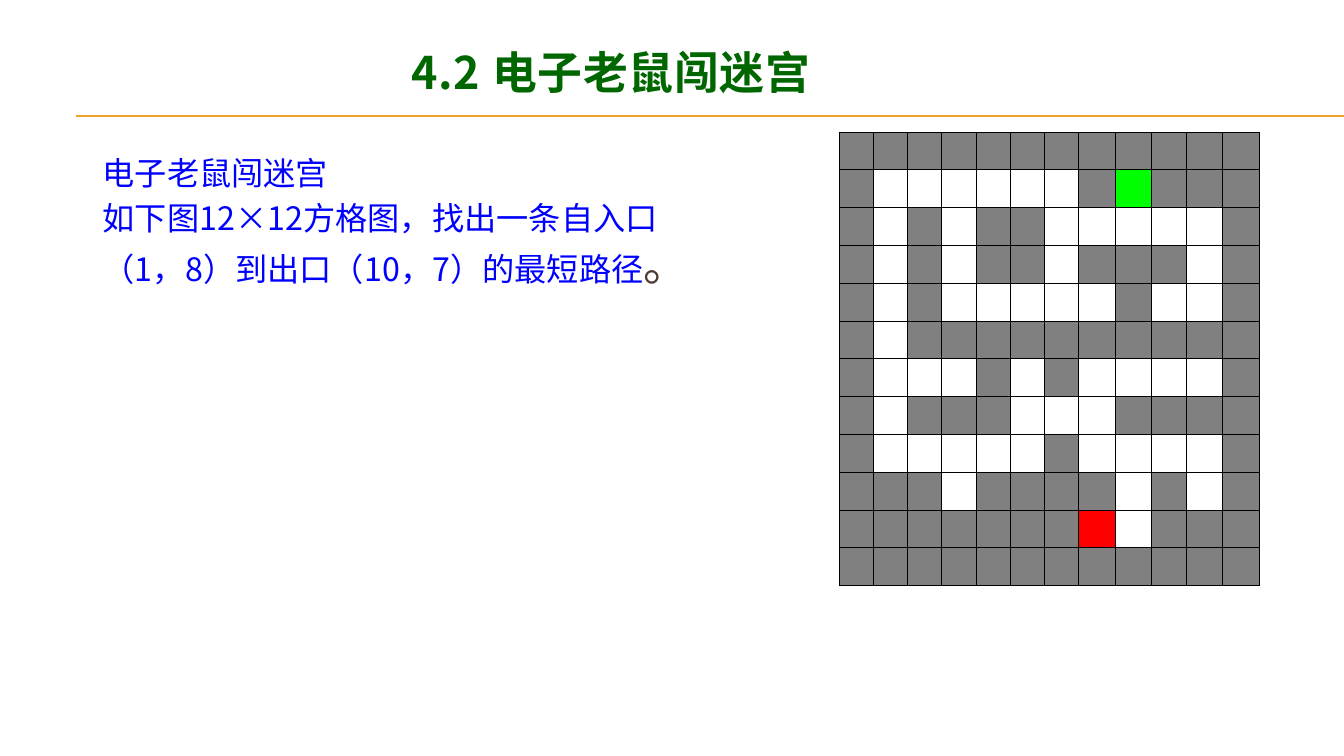
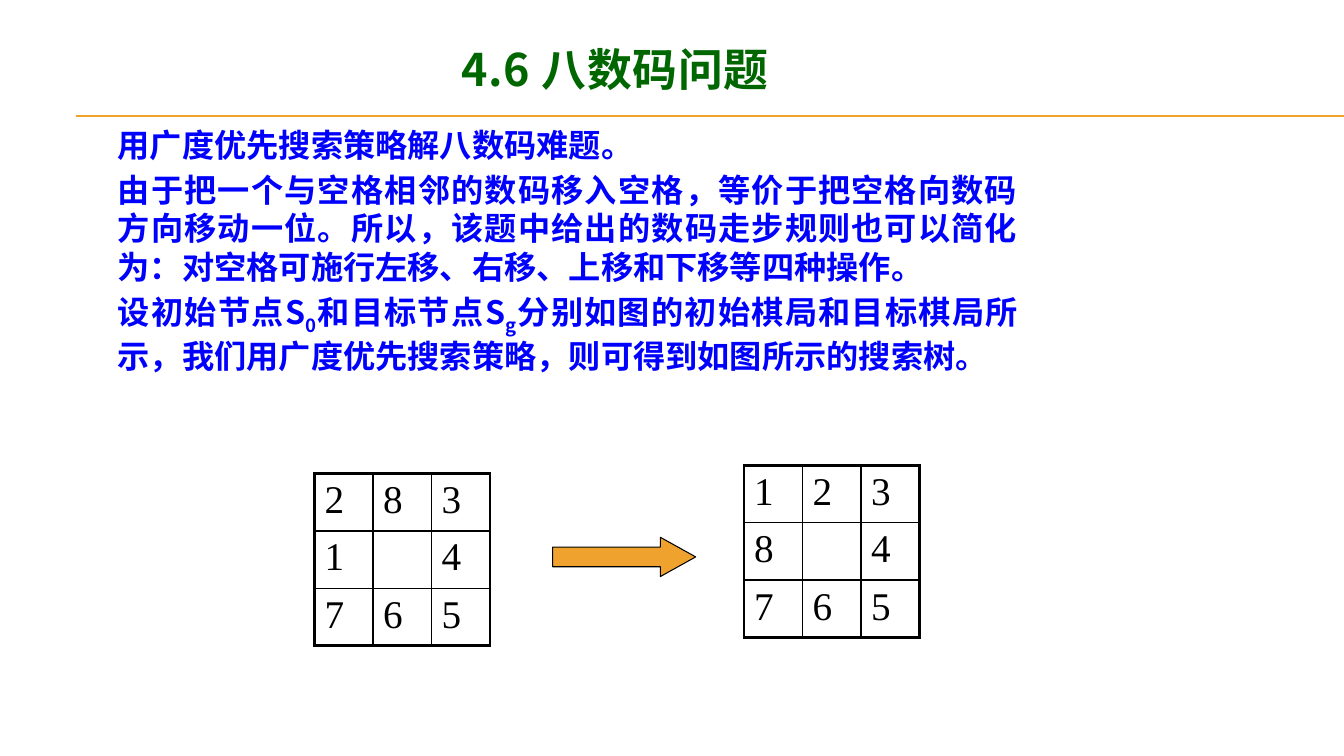
from pptx import Presentation
from pptx.dml.color import RGBColor
from pptx.enum.shapes import MSO_CONNECTOR, MSO_SHAPE
from pptx.enum.text import MSO_ANCHOR, PP_ALIGN
from pptx.oxml.ns import qn
from pptx.util import Inches, Pt
from lxml.etree import SubElement

ORANGE = RGBColor(0xF0, 0xA2, 0x2E)
GREEN = RGBColor(0x00, 0x66, 0x00)
BLUE = RGBColor(0x00, 0x00, 0xFF)
BROWN = RGBColor(0x4E, 0x3B, 0x30)
BLACK = RGBColor(0x00, 0x00, 0x00)
WHITE = RGBColor(0xFF, 0xFF, 0xFF)
GRAY = RGBColor(0x80, 0x80, 0x80)
LIME = RGBColor(0x00, 0xFF, 0x00)
RED = RGBColor(0xFF, 0x00, 0x00)

CJK_FONT = "Noto Sans CJK SC"
TITLE = {"name": CJK_FONT, "size": Pt(32), "bold": True, "color": GREEN}
BODY = {"name": CJK_FONT, "size": Pt(23), "color": BLUE}
STRONG = BODY | {"bold": True}
FULL_STOP = {"name": "Cabin", "size": Pt(32), "color": BROWN}
DIGIT = {"name": "Times New Roman", "size": Pt(28), "color": BLACK}
SUBSCRIPT = {"baseline": "-25000"}
MARGINS = ("margin_left", "margin_top", "margin_right", "margin_bottom")

MAZE = (
    "############",
    "#......#S###",
    "#.#.##.....#",
    "#.#.##.###.#",
    "#.#.....#..#",
    "#.##########",
    "#...#.#....#",
    "#.###...####",
    "#.....#....#",
    "###.####.#.#",
    "#######E.###",
    "############",
)
MAZE_FILLS = {"#": GRAY, ".": WHITE, "S": LIME, "E": RED}
MAZE_WIDTHS = [0.34] * 7 + [0.36, 0.36, 0.35, 0.36, 0.36]


def set_values(target, values):
    for name, value in values.items():
        setattr(target, name, value)


class Deck:
    """Holds the shared style and the slide being filled."""

    def __init__(self):
        self.presentation = Presentation()
        set_values(self.presentation, {"slide_width": Inches(13.33), "slide_height": Inches(7.5)})
        self.slide = None

    def add_slide(self, title, left, top):
        self.slide = self.presentation.slides.add_slide(self.presentation.slide_layouts[6])
        for y in (1.15, 1.16):
            self.add_rule(y)
        frame = self.add_frame((left, top, 6.42, 0.61), (0.07, 0.04, 0.07, 0.04))
        frame.vertical_anchor = MSO_ANCHOR.MIDDLE
        paragraph = frame.paragraphs[0]
        paragraph.alignment = PP_ALIGN.CENTER
        self.add_run(paragraph, title, TITLE, {"spc": "50"})

    def add_rule(self, y):
        rule = self.slide.shapes.add_connector(
            MSO_CONNECTOR.STRAIGHT, Inches(0.75), Inches(y), Inches(13.33), Inches(y))
        rule.line.width = Pt(0.75)
        rule.line.color.rgb = ORANGE
        SubElement(rule.element.spPr, qn("a:effectLst"))

    def add_frame(self, box, insets):
        frame = self.slide.shapes.add_textbox(*map(Inches, box)).text_frame
        frame.word_wrap = True
        set_values(frame, dict(zip(MARGINS, map(Inches, insets))))
        return frame

    def add_run(self, paragraph, text, style, attributes=None):
        run = paragraph.add_run()
        run.text = text
        set_values(run.font, {name: value for name, value in style.items() if name != "color"})
        run.font.color.rgb = style["color"]
        properties = run._r.get_or_add_rPr()
        SubElement(properties, qn("a:ea"), typeface=style["name"])
        for name, value in (attributes or {}).items():
            properties.set(name, value)

    def add_body(self, box, paragraphs, alignment=PP_ALIGN.LEFT):
        """Each paragraph is a list of argument tuples for add_run."""
        frame = self.add_frame(box, (0.1, 0.05, 0.1, 0.05))
        for index, runs in enumerate(paragraphs):
            paragraph = frame.add_paragraph() if index else frame.paragraphs[0]
            set_values(paragraph, {"alignment": alignment,
                                   "space_before": Pt(4.6 if index else 0)})
            for run in runs:
                self.add_run(paragraph, *run)

    def add_grid(self, left, top, widths, height, rows):
        shape = self.slide.shapes.add_table(
            len(rows), len(widths), Inches(left), Inches(top), Inches(sum(widths)), Inches(height))
        table = shape.table
        set_values(table, {"first_row": False, "horz_banding": False})
        for column, width in zip(table.columns, widths):
            column.width = Inches(width)
        for row in table.rows:
            row.height = Inches(height / len(rows))
        return table

    def set_cell(self, cell, fill, borders):
        """Borders are widths in points: left, right, top, bottom."""
        properties = cell._tc.get_or_add_tcPr()
        for side, width in zip("LRTB", borders):
            line = SubElement(properties, qn(f"a:ln{side}"), w=str(Pt(width)))
            solid = SubElement(line, qn("a:solidFill"))
            SubElement(solid, qn("a:srgbClr"), val=str(BLACK))
        cell.fill.solid()
        cell.fill.fore_color.rgb = fill

    def add_maze(self, left, top):
        table = self.add_grid(left, top, MAZE_WIDTHS, 4.5, MAZE)
        for row, marks in enumerate(MAZE):
            for column, mark in enumerate(marks):
                cell = table.cell(row, column)
                set_values(cell, dict.fromkeys(MARGINS, 0))
                self.set_cell(cell, MAZE_FILLS[mark], [0.5] * 4)

    def add_puzzle(self, left, top, rows):
        table = self.add_grid(left, top, [0.58] * 3, 1.69, rows)
        for row, digits in enumerate(rows):
            for column, digit in enumerate(digits):
                cell = table.cell(row, column)
                outer = (column == 0, column == 2, row == 0, row == 2)
                self.set_cell(cell, WHITE, [2.25 if edge else 1 for edge in outer])
                if digit != " ":
                    self.add_run(cell.text_frame.paragraphs[0], digit, DIGIT)

    def add_arrow(self, *box):
        arrow = self.slide.shapes.add_shape(MSO_SHAPE.RIGHT_ARROW, *map(Inches, box))
        arrow.shadow.inherit = False
        arrow.adjustments[1] = 0.9
        arrow.fill.solid()
        arrow.fill.fore_color.rgb = ORANGE
        arrow.line.color.rgb = BLACK
        arrow.line.width = Pt(0.75)


def main():
    deck = Deck()

    deck.add_slide("4.2 电子老鼠闯迷宫", 2.85, 0.41)
    deck.add_body((0.92, 1.47, 5.8, 4.89), [
        [("电子老鼠闯迷宫", BODY)],
        [("如下图12×12方格图，找出一条自入口（1，8）到出口（10，7）的最短路径", BODY),
         ("。", FULL_STOP)],
    ])
    deck.add_maze(8.32, 1.31)

    deck.add_slide("4.6 八数码问题", 2.89, 0.38)
    deck.add_body((1.07, 1.19, 9.13, 3.64), [
        [("用广度优先搜索策略解八数码难题。", STRONG)],
        [("由于把一个与空格相邻的数码移入空格，等价于把空格向数码方向移动一位。"
          "所以，该题中给出的数码走步规则也可以简化为："
          "对空格可施行左移、右移、上移和下移等四种操作。", STRONG)],
        [("设初始节点S", STRONG), ("0", STRONG, SUBSCRIPT),
         ("和目标节点S", STRONG), ("g", STRONG, SUBSCRIPT),
         ("分别如图的初始棋局和目标棋局所示，我们用广度优先搜索策略，"
          "则可得到如图所示的搜索树。", STRONG)],
    ], PP_ALIGN.JUSTIFY)
    deck.add_puzzle(3.12, 4.7, ("283", "1 4", "765"))
    deck.add_puzzle(7.38, 4.62, ("123", "8 4", "765"))
    deck.add_arrow(5.48, 5.33, 1.42, 0.39)

    deck.presentation.save("out.pptx")


if __name__ == "__main__":
    main()
